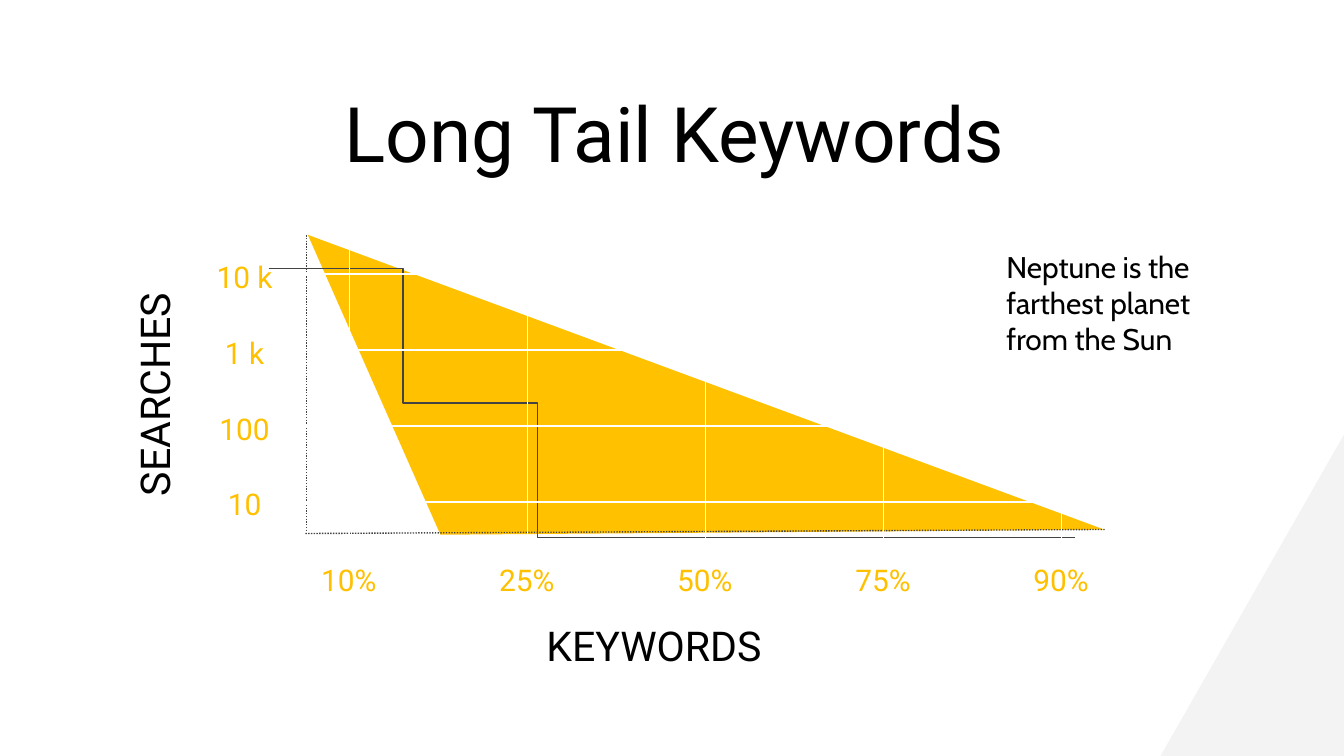
from typing import NamedTuple

from lxml import etree
from pptx import Presentation
from pptx.dml.color import RGBColor
from pptx.enum import dml, shapes, text
from pptx.oxml import ns
from pptx.util import Inches, Pt

BLACK = RGBColor(0x00, 0x00, 0x00)
WHITE = RGBColor(0xFF, 0xFF, 0xFF)
GRAPHITE = RGBColor(0x43, 0x43, 0x43)
PALE_GRAY = RGBColor(0xF3, 0xF3, 0xF3)
AREA_YELLOW = RGBColor(0xFF, 0xC1, 0x00)
LABEL_YELLOW = RGBColor(0xFF, 0xC0, 0x00)

ROW_TOP, ROW_STEP = 2.04, 0.565
COLUMN_LEFT, COLUMN_STEP = 2.6, 1.325
LABEL_HEIGHT = 0.49
CURVE_STEPS = 24


class Point(NamedTuple):
    x: float
    y: float


class Box(NamedTuple):
    left: float
    top: float
    width: float
    height: float

    def lengths(self):
        return [Inches(value) for value in self]


class Style(NamedTuple):
    size: float
    color: RGBColor
    font: str = "Roboto"
    align: text.PP_ALIGN = text.PP_ALIGN.CENTER
    anchor: text.MSO_ANCHOR = text.MSO_ANCHOR.MIDDLE
    line_spacing: float = 1.15


TITLE = Style(41, BLACK, anchor=text.MSO_ANCHOR.TOP, line_spacing=1.0)
TICK = Style(16, LABEL_YELLOW)
AXIS = Style(22, BLACK)
NOTE = Style(16, BLACK, "Cabin", text.PP_ALIGN.LEFT, text.MSO_ANCHOR.TOP, 1.0)


def add_label(slide, words: str, box: Box, style: Style, rotation: float = 0):
    label = slide.shapes.add_textbox(*box.lengths())
    label.rotation = rotation
    frame = label.text_frame
    frame.word_wrap = True
    frame.vertical_anchor = style.anchor
    frame.margin_left = frame.margin_right = Inches(0.1)
    frame.margin_top = frame.margin_bottom = Inches(0.1)
    frame.text = words
    paragraph = frame.paragraphs[0]
    paragraph.alignment = style.align
    paragraph.line_spacing = style.line_spacing
    font = paragraph.runs[0].font
    font.name, font.size = style.font, Pt(style.size)
    font.color.rgb = style.color


def add_triangle(slide, kind: shapes.MSO_SHAPE, box: Box, rotation: float, color: RGBColor):
    triangle = slide.shapes.add_shape(kind, *box.lengths())
    triangle.shadow.inherit = False
    triangle.rotation = rotation
    triangle.fill.solid()
    triangle.fill.fore_color.rgb = color
    triangle.line.fill.background()
    return triangle


def add_line(slide, start: Point, end: Point, color: RGBColor, dotted: bool = False):
    line = slide.shapes.add_connector(
        shapes.MSO_CONNECTOR.STRAIGHT, *[Inches(value) for value in (*start, *end)])
    line.line.color.rgb = color
    line.line.width = Pt(0.75)
    if dotted:
        line.line.dash_style = dml.MSO_LINE.ROUND_DOT
    etree.SubElement(line._element.spPr, ns.qn("a:effectLst"))


def bezier(start: Point, first: Point, second: Point, end: Point) -> list[Point]:
    """Points along a cubic curve, without its start."""
    points = []
    for step in range(1, CURVE_STEPS + 1):
        t = step / CURVE_STEPS
        weights = ((1 - t) ** 3, 3 * t * (1 - t) ** 2, 3 * t * t * (1 - t), t ** 3)
        controls = (start, first, second, end)
        points.append(Point(*(sum(w * value for w, value in zip(weights, axis))
                              for axis in zip(*controls))))
    return points


def add_curve(slide, knots: list[Point]):
    """Draw joined cubic curves; knots are the start and then three per piece."""
    points = []
    for index in range(0, len(knots) - 1, 3):
        points += bezier(*knots[index:index + 4])
    builder = slide.shapes.build_freeform(*knots[0], scale=Inches(1))
    builder.add_line_segments(points, close=False)
    curve = builder.convert_to_shape()
    curve.shadow.inherit = False
    curve.fill.background()
    curve.line.color.rgb = GRAPHITE
    curve.line.width = Pt(0.75)


def main():
    deck = Presentation()
    deck.slide_width, deck.slide_height = Inches(10), Inches(5.625)
    slide = deck.slides.add_slide(deck.slide_layouts[6])
    slide.background.fill.solid()
    slide.background.fill.fore_color.rgb = WHITE

    add_triangle(slide, shapes.MSO_SHAPE.RIGHT_TRIANGLE,
                 Box(8.12, 3.74, 2.4, 1.37), 270, PALE_GRAY)
    add_label(slide, "Long Tail Keywords", Box(0.59, 0.54, 8.86, 0.63), TITLE)

    area = add_triangle(slide, shapes.MSO_SHAPE.ISOSCELES_TRIANGLE,
                        Box(1.79, 2.79, 6.32, 1.75), 200.3, AREA_YELLOW)
    area.adjustments[0] = 0.731
    add_line(slide, Point(2.28, 1.75), Point(2.28, 3.96), GRAPHITE, dotted=True)
    add_line(slide, Point(8.22, 3.94), Point(2.27, 3.97), GRAPHITE, dotted=True)
    add_curve(slide, [
        Point(1.97, 1.61),
        Point(2.24, 1.86), Point(3.11, 2.8), Point(3.6, 3.16),
        Point(4.08, 3.53), Point(4.05, 3.65), Point(4.87, 3.8),
        Point(5.69, 3.95), Point(7.9, 4.02), Point(8.5, 4.06),
    ])

    for row, searches in enumerate(["10 k", "1 k", "100", "10"]):
        y = ROW_TOP + row * ROW_STEP
        add_line(slide, Point(2.28, y), Point(8.31, y), WHITE)
        add_label(slide, searches, Box(1.5, y - 0.25, 0.64, LABEL_HEIGHT), TICK)

    for column, share in enumerate(["10%", "25%", "50%", "75%", "90%"]):
        x = COLUMN_LEFT + column * COLUMN_STEP
        add_line(slide, Point(x, 1.69), Point(x, 4.02), WHITE)
        add_label(slide, share, Box(x - 0.44, 4.05, 0.87, LABEL_HEIGHT), TICK)

    add_label(slide, "SEARCHES", Box(0.01, 2.69, 2.21, LABEL_HEIGHT), AXIS, 270)
    add_label(slide, "KEYWORDS", Box(3.54, 4.53, 2.65, LABEL_HEIGHT), AXIS)
    add_label(slide, "Neptune is the farthest planet from the Sun",
              Box(7.39, 1.75, 1.8, 1.06), NOTE)

    deck.save("out.pptx")


if __name__ == "__main__":
    main()
